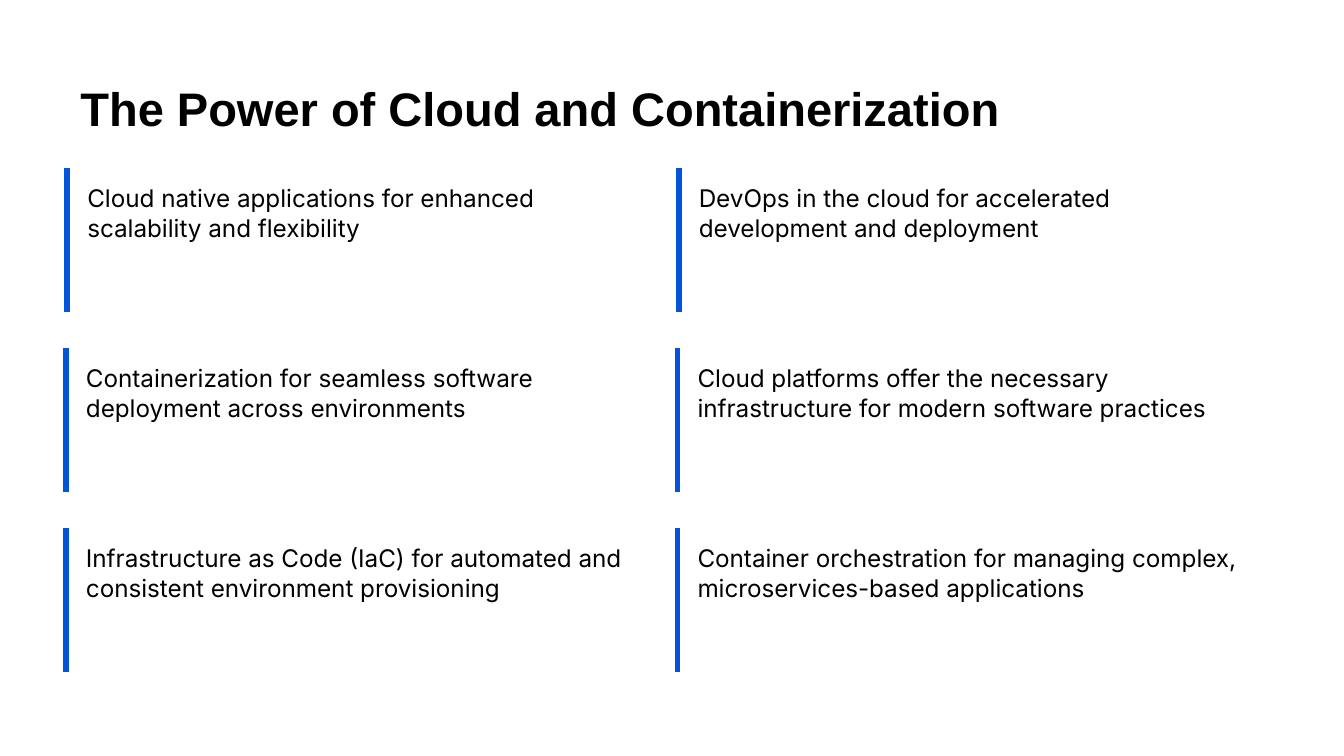
"""Build the slide on cloud and containerization."""
from dataclasses import dataclass

from lxml import etree
from pptx import Presentation
from pptx.dml.color import RGBColor
from pptx.enum.shapes import MSO_CONNECTOR
from pptx.enum.text import MSO_ANCHOR
from pptx.oxml.ns import qn
from pptx.slide import Slide
from pptx.text.text import TextFrame
from pptx.util import Inches, Pt

STRAIGHT = MSO_CONNECTOR.STRAIGHT
TOP = MSO_ANCHOR.TOP
MIDDLE = MSO_ANCHOR.MIDDLE


@dataclass(frozen=True)
class Theme:
    """Colours, fonts and type sizes."""
    ink: RGBColor = RGBColor(0x00, 0x00, 0x00)
    accent: RGBColor = RGBColor(0x02, 0x54, 0xDB)
    title_font: str = "Arial"
    body_font: str = "Inter"
    title_size: float = 25.2
    body_size: float = 13
    bar_width: float = 3


@dataclass(frozen=True)
class Point:
    """A statement and its place in inches."""
    text: str
    left: float
    top: float


THEME = Theme()
TITLE = "The Power of Cloud and Containerization"
ROWS = [
    ("Cloud native applications for enhanced scalability and flexibility",
     "DevOps in the cloud for accelerated development and deployment"),
    ("Containerization for seamless software deployment across environments",
     "Cloud platforms offer the necessary infrastructure for modern software practices"),
    ("Infrastructure as Code (IaC) for automated and consistent environment provisioning",
     "Container orchestration for managing complex, microservices-based applications"),
]
ROW_LEFTS = (0.5, 0.49, 0.49)
FIRST_TOP, ROW_STEP, COLUMN_STEP = 1.25, 1.34, 4.55
POINT_WIDTH, POINT_HEIGHT, BAR_HEIGHT = 4.46, 1.06, 1.07


def add_text(page: Slide, left: float, top: float, width: float, height: float,
             text: str, inset: float, anchor: MSO_ANCHOR) -> TextFrame:
    """Add a wrapped text box and return its frame."""
    box = page.shapes.add_textbox(Inches(left), Inches(top), Inches(width), Inches(height))
    frame = box.text_frame
    frame.word_wrap = True
    frame.vertical_anchor = anchor
    frame.margin_left = Inches(inset)
    frame.margin_top = frame.margin_right = frame.margin_bottom = Inches(0.1)
    frame.text = text
    frame.paragraphs[0].font.color.rgb = THEME.ink
    return frame


def add_title(page: Slide) -> None:
    """Add the bold heading."""
    font = add_text(page, 0.5, 0.49, 9, 0.63, TITLE, 0.1, MIDDLE).paragraphs[0].font
    font.name, font.size, font.bold = THEME.title_font, Pt(THEME.title_size), True


def add_point(page: Slide, point: Point) -> None:
    """Add a statement with the accent bar on its left edge."""
    frame = add_text(page, point.left, point.top, POINT_WIDTH, POINT_HEIGHT,
                     point.text, 0.15, TOP)
    para = frame.paragraphs[0]
    para.line_spacing = 1.05
    para.space_after = Pt(10)
    para.font.name, para.font.size = THEME.body_font, Pt(THEME.body_size)
    bar = page.shapes.add_connector(
        STRAIGHT, Inches(point.left), Inches(point.top),
        Inches(point.left), Inches(point.top + BAR_HEIGHT))
    bar.line.color.rgb = THEME.accent
    bar.line.width = Pt(THEME.bar_width)
    etree.SubElement(bar._element.spPr, qn("a:effectLst"))


def main() -> None:
    """Create and save the widescreen deck."""
    deck = Presentation()
    deck.slide_width, deck.slide_height = Inches(10), Inches(10 * 9 / 16)
    page = deck.slides.add_slide(deck.slide_layouts[6])
    add_title(page)
    for row, (texts, left) in enumerate(zip(ROWS, ROW_LEFTS)):
        for column, text in enumerate(texts):
            add_point(page, Point(text, left + column * COLUMN_STEP,
                                  FIRST_TOP + row * ROW_STEP))
    deck.save("out.pptx")


if __name__ == "__main__":
    main()
